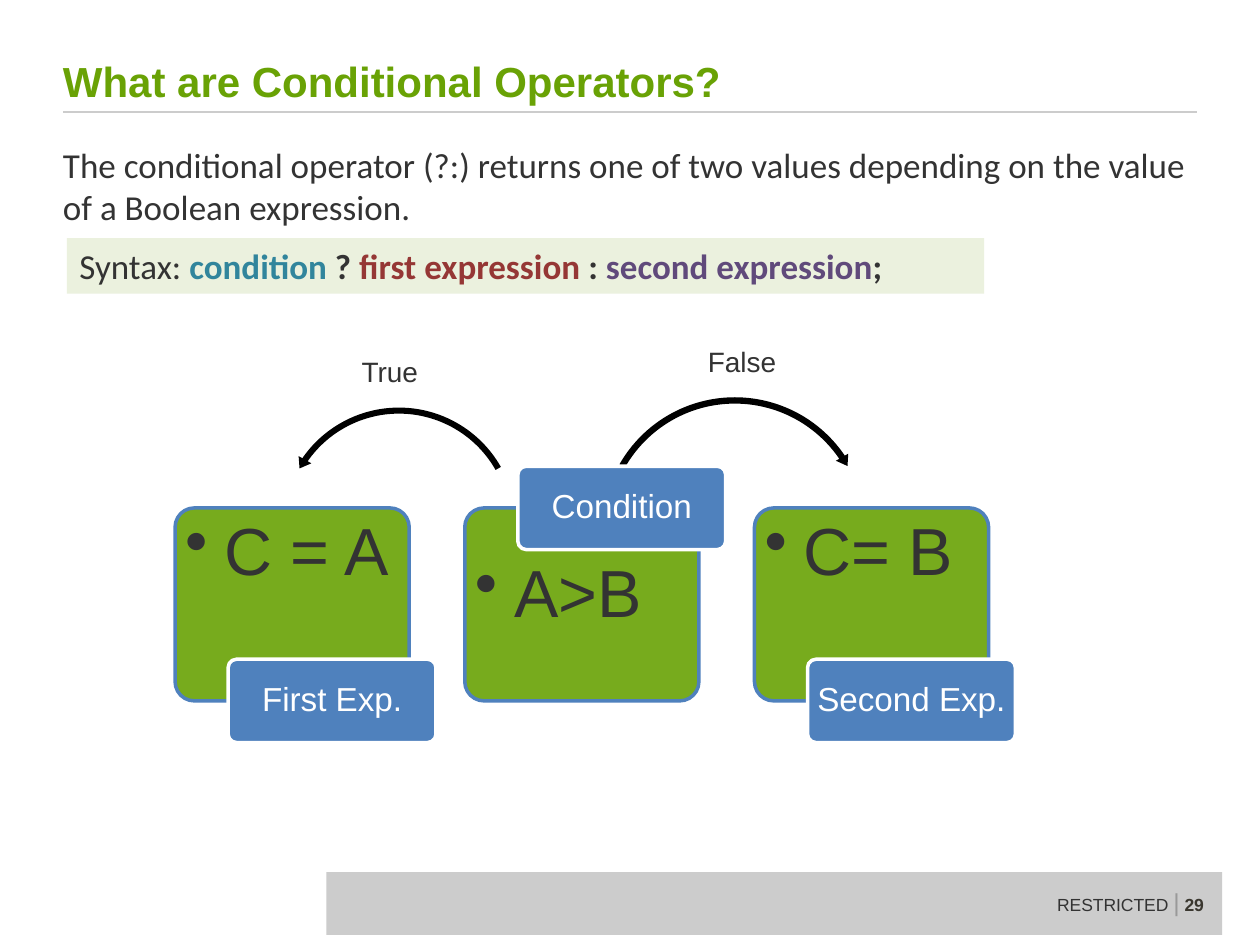
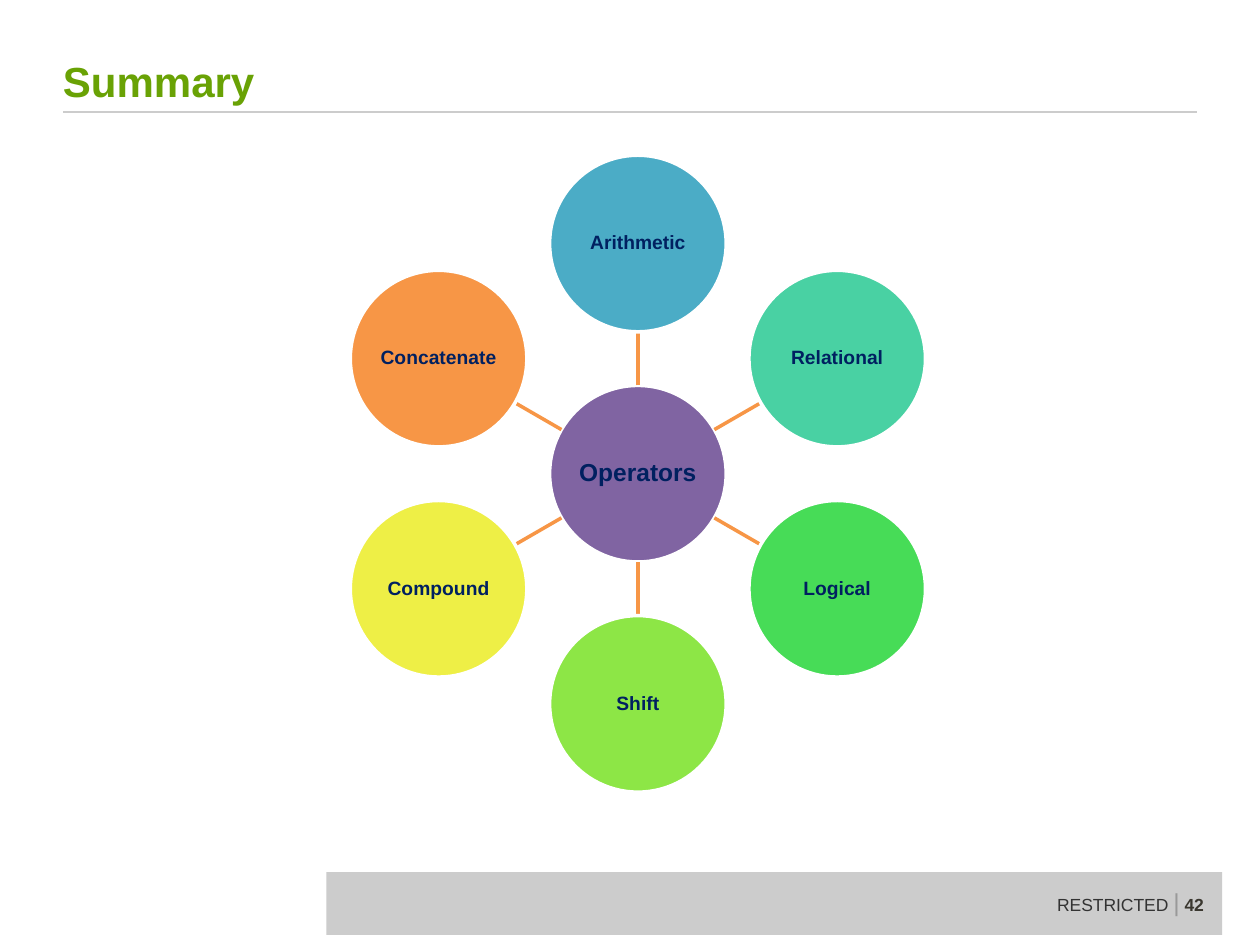
from math import cos, radians, sin

from lxml.etree import SubElement
from pptx import Presentation
from pptx.dml.color import RGBColor
from pptx.enum.shapes import MSO_CONNECTOR, MSO_SHAPE
from pptx.enum.text import MSO_ANCHOR, PP_ALIGN
from pptx.oxml.ns import qn
from pptx.util import Cm, Pt

GREEN, BLUE, WHITE, BLACK = "69A205", "4F81BD", "FFFFFF", "000000"
TEXT, GREY, NAVY, ORANGE = "333333", "CCCCCC", "002060", "F79646"
MARGIN, CONTENT_WIDTH = 1.27, 22.86


def color(hex_code):
    return RGBColor.from_string(hex_code)


def write(shape, text, size=16, font="Arial", ink=TEXT, bold=False, align=None,
          anchor=MSO_ANCHOR.TOP, insets=(0.25, 0.13, 0.25, 0.13), wrap=True,
          spacing=None, bullet_indent=None):
    """Fill a shape with one paragraph; text is a string or (text, changes) spans."""
    frame = shape.text_frame
    frame.word_wrap = wrap
    frame.vertical_anchor = anchor
    (frame.margin_left, frame.margin_top,
     frame.margin_right, frame.margin_bottom) = map(Cm, insets)
    para = frame.paragraphs[0]
    para.alignment = align or PP_ALIGN.LEFT
    para.line_spacing = spacing
    if bullet_indent:
        properties = para._p.get_or_add_pPr()
        properties.set("marL", str(Cm(bullet_indent)))
        properties.set("indent", str(-Cm(bullet_indent)))
        SubElement(properties, qn("a:buChar")).set("char", "•")
    spans = [(text, {})] if isinstance(text, str) else text
    for words, changes in spans:
        span = para.add_run()
        span.text = words
        span.font.name = font
        span.font.size = Pt(changes.get("size", size))
        span.font.bold = changes.get("bold", bold)
        span.font.color.rgb = color(changes.get("ink", ink))


def add_text(page, box, text, **style):
    write(page.shapes.add_textbox(*map(Cm, box)), text, **style)


def add_figure(page, kind, box, fill, outline=None, alpha=None):
    figure = page.shapes.add_shape(kind, *map(Cm, box))
    figure.shadow.inherit = False
    figure.fill.solid()
    figure.fill.fore_color.rgb = color(fill)
    if alpha:
        fill_color = figure.fill._xPr.find(qn("a:solidFill"))[0]
        SubElement(fill_color, qn("a:alpha")).set("val", str(alpha * 1000))
    if outline:
        figure.line.color.rgb = color(outline)
        figure.line.width = Pt(2)
    else:
        figure.line.fill.background()
    return figure


def add_line(page, start, end, ink, width):
    line = page.shapes.add_connector(MSO_CONNECTOR.STRAIGHT, *map(Cm, start + end))
    line.line.color.rgb = color(ink)
    line.line.width = Pt(width)
    SubElement(line._element.spPr, qn("a:effectLst"))


def add_page(deck, title, number):
    """Add a slide with its title, rule and footer band."""
    page = deck.slides.add_slide(deck.slide_layouts[6])
    add_line(page, (MARGIN, 2.26), (MARGIN + CONTENT_WIDTH, 2.26), GREY, 1.5)
    add_figure(page, MSO_SHAPE.RECTANGLE, (6.58, 17.58, 18.06, 1.27), GREY)
    footer = [("RESTRICTED ", {}), ("|", {"size": 14, "ink": "999999"}),
              (f" {number}", {"bold": True, "ink": "3A372F"})]
    add_text(page, (21.06, 17.75, 3.56, 0.86), footer, size=10, wrap=False)
    add_text(page, (MARGIN, 0.05, CONTENT_WIDTH, 2.21), title, size=24, ink=GREEN,
             bold=True, anchor=MSO_ANCHOR.BOTTOM, insets=(0, 0, 0, 0.13))
    return page


def add_arc_arrow(page, kind, box, adjustments, rotation=0):
    arrow = add_figure(page, kind, box, BLACK)
    arrow.rotation = rotation
    for index, value in enumerate(adjustments):
        arrow.adjustments[index] = value


def add_step(page, left, top, formula, name, name_on_top=False, arrow=None):
    """Add a formula card, the arc leaving it and its overlapping name tag."""
    overlap = 0.84
    card = add_figure(page, MSO_SHAPE.ROUNDED_RECTANGLE, (left, top, 4.72, 3.89),
                      GREEN, BLUE, alpha=90)
    card.adjustments[0] = 0.1
    text_top = 0.09 + (overlap if name_on_top else 0)
    write(card, formula, size=38, spacing=0.9, bullet_indent=0.79,
          insets=(0.09, text_top, 0.09, 0.09))
    if arrow:
        kind, across, down, size, adjustments, rotation = arrow
        add_arc_arrow(page, kind, (left + across, top + down, size, size),
                      adjustments, rotation)
    tag_top = top - overlap if name_on_top else top + 3.89 - overlap
    tag = add_figure(page, MSO_SHAPE.ROUNDED_RECTANGLE,
                     (left + 1.07, tag_top, 4.19, 1.68), BLUE, WHITE)
    tag.adjustments[0] = 0.1
    write(tag, name, size=19, ink=WHITE, align=PP_ALIGN.CENTER, spacing=0.9,
          anchor=MSO_ANCHOR.MIDDLE, insets=(0.05, 0.05, 0.05, 0.05))


def add_decision(page, left, top):
    to_first = (MSO_SHAPE.LEFT_CIRCULAR_ARROW, 2.06, -2.11, 4.9,
                (0.025, 3.094, 20.849, 90.245, 0.03), 180)
    to_second = (MSO_SHAPE.CIRCULAR_ARROW, 2.69, -2.31, 5.51,
                 (0.023, 2.738, 195.507, 125.755, 0.026), 0)
    steps = [("C = A", "First Exp.", False, to_first),
             ("A>B", "Condition", True, to_second),
             ("C= B", "Second Exp.", False, None)]
    for index, step in enumerate(steps):
        add_step(page, left + index * 5.84, top, *step)
    add_text(page, (left + 3.51, top - 3.23, 2.31, 0.94), "True")
    add_text(page, (left + 10.49, top - 3.43, 2.41, 0.94), "False")


def add_conditional_page(deck):
    page = add_page(deck, "What are Conditional Operators?", 29)
    add_text(page, (MARGIN, 2.9, CONTENT_WIDTH, 14.12),
             "The conditional operator (?:) returns one of two values depending "
             "on the value of a Boolean expression.",
             size=20, font="Calibri", insets=(0, 0, 0, 0))
    add_decision(page, 3.53, 10.24)
    syntax = [("Syntax: ", {"bold": False}), ("condition", {"ink": "31859C"}),
              (" ? ", {}), ("first expression", {"ink": "953735"}),
              (" : ", {}), ("second expression", {"ink": "604A7B"}), (";", {})]
    strip = add_figure(page, MSO_SHAPE.RECTANGLE, (1.35, 4.8, 18.49, 1.12), "EBF1DE")
    write(strip, syntax, size=20, font="Calibri", bold=True)


def add_disc(page, center_x, center_y, name, fill, size):
    diameter = 3.56
    disc = add_figure(page, MSO_SHAPE.OVAL,
                      (center_x - diameter / 2, center_y - diameter / 2,
                       diameter, diameter), fill, WHITE)
    write(disc, name, size=size, ink=NAVY, bold=True, align=PP_ALIGN.CENTER,
          anchor=MSO_ANCHOR.MIDDLE, spacing=0.9, insets=(0, 0, 0, 0))


def add_wheel(page, center_x, center_y, hub, members):
    """Place the members clockwise around the hub, starting at the top."""
    def around(distance, angle):
        return (center_x + distance * cos(angle), center_y + distance * sin(angle))

    add_disc(page, center_x, center_y, *hub, size=14)
    for index, member in enumerate(members):
        angle = radians(index * 360 / len(members) - 90)
        add_line(page, around(1.78, angle), around(2.86, angle), ORANGE, 2)
        add_disc(page, *around(4.64, angle), *member, size=11)


def add_summary_page(deck):
    page = add_page(deck, "Summary", 42)
    operators = [("Arithmetic", "4BACC6"), ("Relational", "49D1A3"),
                 ("Logical", "47DC57"), ("Shift", "8DE646"),
                 ("Compound", "EEEF46"), ("Concatenate", ORANGE)]
    add_wheel(page, 12.86, 9.55, ("Operators", "8064A2"), operators)


def main():
    deck = Presentation()
    deck.slide_width, deck.slide_height = Cm(25.4), Cm(19.05)
    add_conditional_page(deck)
    add_summary_page(deck)
    deck.save("out.pptx")


if __name__ == "__main__":
    main()
